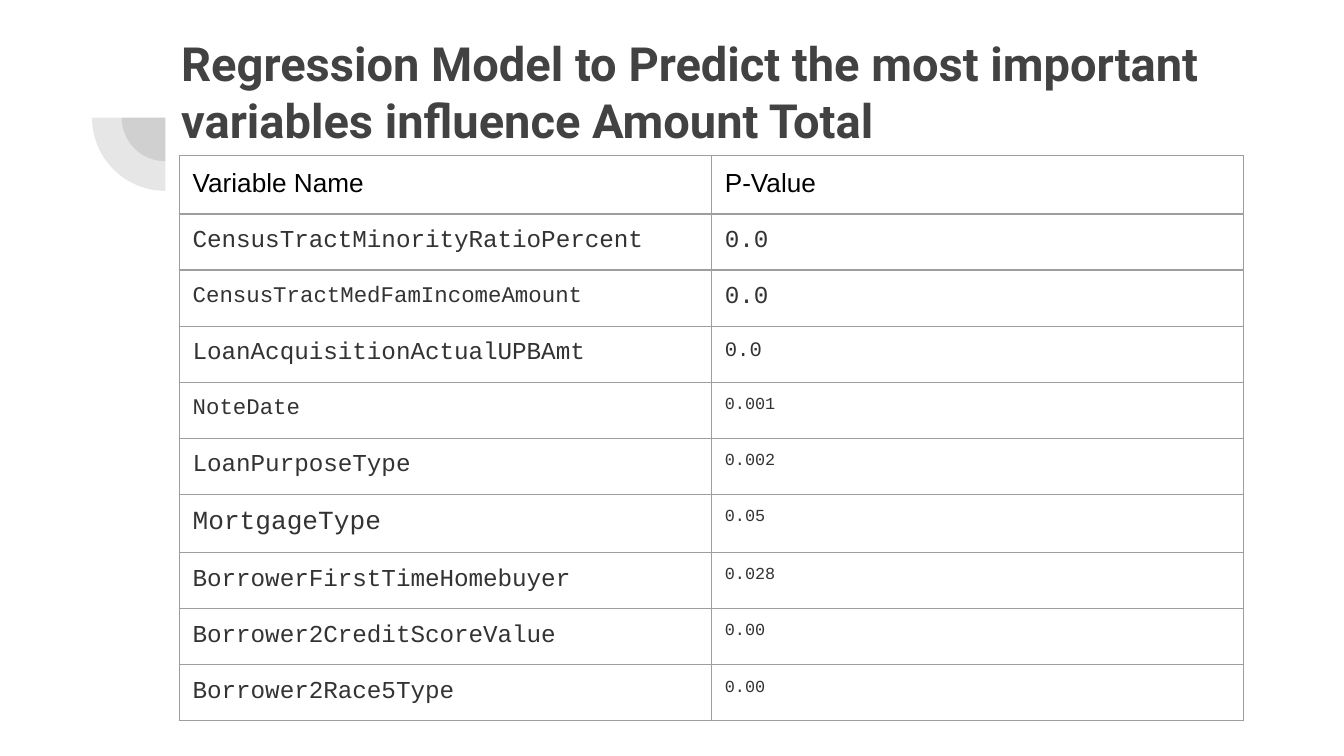
"""Build a slide with a table of regression variables and their p-values."""
from lxml import etree
from pptx import Presentation
from pptx.dml.color import RGBColor
from pptx.enum import shapes, text
from pptx.oxml import ns
from pptx.util import Pt

TITLE = "Regression Model to Predict the most important variables influence Amount Total"
HEADINGS = ("Variable Name", "P-Value")
VARIABLES = [
    ("CensusTractMinorityRatioPercent", 13, "0.0", 13),
    ("CensusTractMedFamIncomeAmount", 12, "0.0", 13),
    ("LoanAcquisitionActualUPBAmt", 13, "0.0", 11),
    ("NoteDate", 12, "0.001", 9),
    ("LoanPurposeType", 13, "0.002", 9),
    ("MortgageType", 14, "0.05", 9),
    ("BorrowerFirstTimeHomebuyer", 13, "0.028", 9),
    ("Borrower2CreditScoreValue", 13, "0.00", 9),
    ("Borrower2Race5Type", 13, "0.00", 9),
]
INK, BORDER = "424242", "9E9E9E"
COLUMN_WIDTH, ROW_HEIGHT = 285.12, 30
INSET = 7.2
ARC_CENTER = (88.56, 63)
ARC_DIAMETERS = (46.8, 78.5)


def color(value):
    return RGBColor.from_string(value)


def style(paragraph, font_name, size, ink, bold=False):
    for run in paragraph.runs:
        font = run.font
        font.name, font.size, font.bold = font_name, Pt(size), bold
        font.color.rgb = color(ink)


def add_arc(slide, diameter):
    left, top = (center - diameter / 2 for center in ARC_CENTER)
    arc = slide.shapes.add_shape(
        shapes.MSO_SHAPE.PIE, Pt(left), Pt(top), Pt(diameter), Pt(diameter))
    arc.adjustments[0], arc.adjustments[1] = 108, 162
    arc.rotation = 270
    arc.shadow.inherit = False
    arc.line.fill.background()
    arc.fill.solid()
    arc.fill.fore_color.rgb = color(INK)
    tint = arc.fill._xPr.find(".//" + ns.qn("a:srgbClr"))
    etree.SubElement(tint, ns.qn("a:alpha"), val="13000")


def add_title(slide):
    title = slide.shapes.add_textbox(Pt(90), Pt(11.5), Pt(630), Pt(71.3))
    frame = title.text_frame
    frame.text = TITLE
    frame.word_wrap = True
    frame.vertical_anchor = text.MSO_ANCHOR.TOP
    frame.margin_left = frame.margin_right = Pt(INSET)
    frame.margin_top = frame.margin_bottom = Pt(INSET)
    style(frame.paragraphs[0], "Roboto", 25.2, INK, True)


def add_borders(cell):
    properties = cell._tc.get_or_add_tcPr()
    for position, side in enumerate(("lnL", "lnR", "lnT", "lnB")):
        line = etree.Element(ns.qn("a:" + side), w=str(Pt(0.75)))
        fill = etree.SubElement(line, ns.qn("a:solidFill"))
        etree.SubElement(fill, ns.qn("a:srgbClr"), val=BORDER)
        properties.insert(position, line)


def fill_cell(cell, wording, font_name, size, ink):
    cell.text_frame.text = wording
    cell.margin_left = cell.margin_right = Pt(INSET)
    cell.margin_top = cell.margin_bottom = Pt(INSET)
    cell.fill.background()
    add_borders(cell)
    style(cell.text_frame.paragraphs[0], font_name, size, ink)


def add_variables(slide):
    row_count = len(VARIABLES) + 1
    table = slide.shapes.add_table(
        row_count, 2, Pt(96), Pt(83.4),
        Pt(2 * COLUMN_WIDTH), Pt(row_count * ROW_HEIGHT)).table
    table.first_row = table.horz_banding = False
    for column in table.columns:
        column.width = Pt(COLUMN_WIDTH)
    for column, heading in enumerate(HEADINGS):
        fill_cell(table.cell(0, column), heading, "Arial", 14, "000000")
    for row, (name, name_size, p_value, value_size) in enumerate(VARIABLES, 1):
        fill_cell(table.cell(row, 0), name, "Courier New", name_size, "333333")
        fill_cell(table.cell(row, 1), p_value, "Courier New", value_size, "333333")


def main():
    deck = Presentation()
    deck.slide_width, deck.slide_height = Pt(720), Pt(405)
    slide = deck.slides.add_slide(deck.slide_layouts[6])
    for diameter in ARC_DIAMETERS:
        add_arc(slide, diameter)
    add_title(slide)
    add_variables(slide)
    deck.save("out.pptx")


if __name__ == "__main__":
    main()
